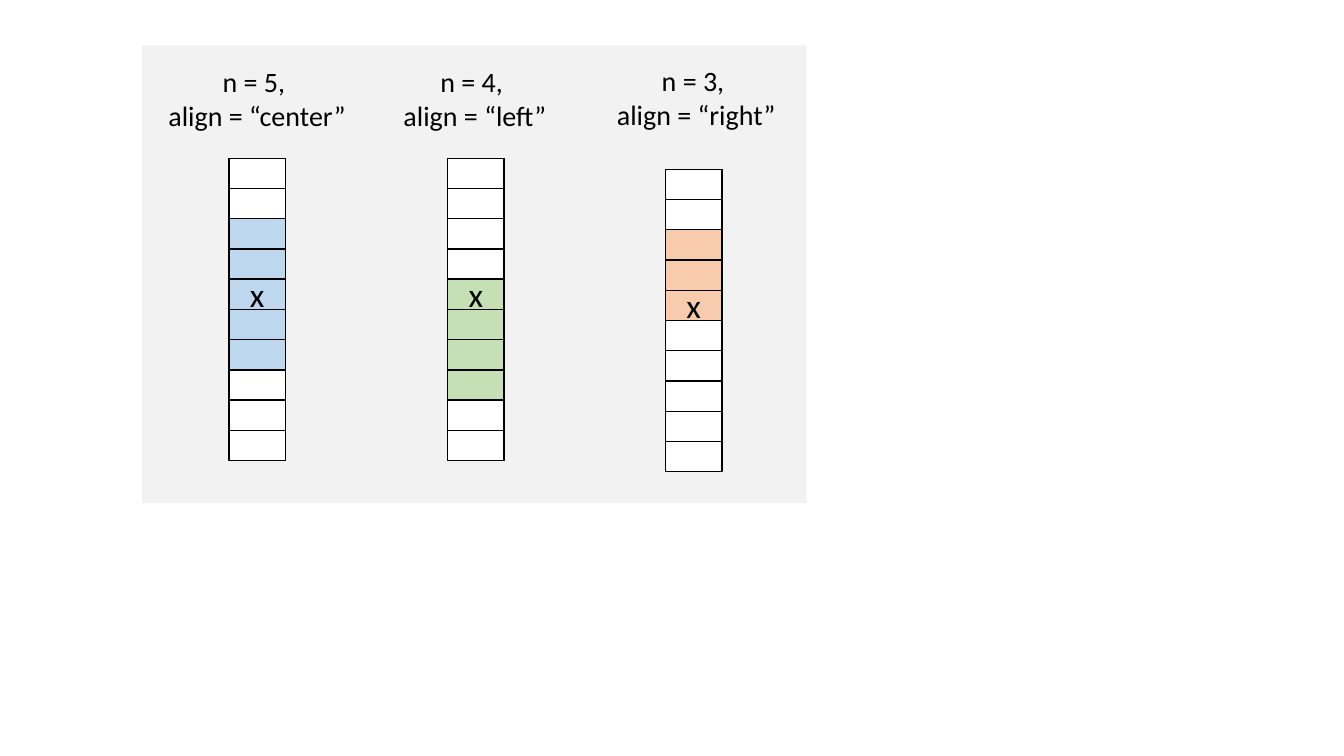
import pptx
import pptx.util
import pptx.dml.color
import pptx.enum.shapes
import pptx.enum.text

Inches = pptx.util.Inches


def color(hex_code):
    return pptx.dml.color.RGBColor.from_string(hex_code)


class WindowSlide:
    font = "Calibri"
    ink = "000000"
    label_size = 20
    mark_size = 24

    def __init__(self, slide):
        self.slide = slide

    def add_lines(self, frame, lines, size):
        for index, line in enumerate(lines):
            paragraph = frame.paragraphs[0] if index == 0 else frame.add_paragraph()
            paragraph.alignment = pptx.enum.text.PP_ALIGN.CENTER
            run = paragraph.add_run()
            run.text = line
            run.font.name = self.font
            run.font.size = pptx.util.Pt(size)
            run.font.color.rgb = color(self.ink)

    def box(self, left, top, width, height, fill, outlined=True, mark=None):
        box = self.slide.shapes.add_shape(
            pptx.enum.shapes.MSO_SHAPE.RECTANGLE,
            Inches(left), Inches(top), Inches(width), Inches(height))
        box.shadow.inherit = False
        box.fill.solid()
        box.fill.fore_color.rgb = color(fill)
        if outlined:
            box.line.color.rgb = color(self.ink)
            box.line.width = pptx.util.Pt(1)
        else:
            box.line.fill.background()
        if mark:
            box.text_frame.vertical_anchor = pptx.enum.text.MSO_ANCHOR.MIDDLE
            self.add_lines(box.text_frame, [mark], self.mark_size)

    def label(self, left, top, width, lines):
        label = self.slide.shapes.add_textbox(
            Inches(left), Inches(top), Inches(width), Inches(0.77))
        label.text_frame.word_wrap = False
        label.text_frame.auto_size = pptx.enum.text.MSO_AUTO_SIZE.SHAPE_TO_FIT_TEXT
        self.add_lines(label.text_frame, lines, self.label_size)

    def column(self, left, top, rows, window, tint):
        self.box(left, top, CELL_WIDTH, ROW_COUNT * CELL_HEIGHT, WHITE)
        for row in rows:
            self.box(left, top + row * CELL_HEIGHT, CELL_WIDTH, CELL_HEIGHT,
                     tint if row in window else WHITE,
                     mark="x" if row == CURRENT_ROW else None)


WHITE = "FFFFFF"
CELL_WIDTH = 0.56
CELL_HEIGHT = 0.3
ROW_COUNT = 10
CURRENT_ROW = 4
INNER_ROWS = range(ROW_COUNT - 1)

WINDOWS = [
    (2.27, 1.57, INNER_ROWS, range(2, 7), "BDD7EE",
     1.56, 0.59, 1.98, ["n = 5, ", "align = “center”"]),
    (4.44, 1.57, INNER_ROWS, range(4, 8), "C5E0B4",
     3.89, 0.59, 1.64, ["n = 4, ", "align = “left”"]),
    (6.6, 1.68, [row for row in INNER_ROWS if row != 7], range(2, 5), "F8CBAD",
     6.01, 0.58, 1.79, ["n = 3, ", "align = “right”"]),
]

presentation = pptx.Presentation()
presentation.slide_width = Inches(13.33)
presentation.slide_height = Inches(7.5)
diagram = WindowSlide(presentation.slides.add_slide(presentation.slide_layouts[6]))

diagram.box(1.41, 0.45, 6.59, 4.54, "F2F2F2", outlined=False)
for left, top, rows, window, tint, label_left, label_top, label_width, lines in WINDOWS:
    diagram.column(left, top, rows, window, tint)
    diagram.label(label_left, label_top, label_width, lines)

presentation.save("out.pptx")
